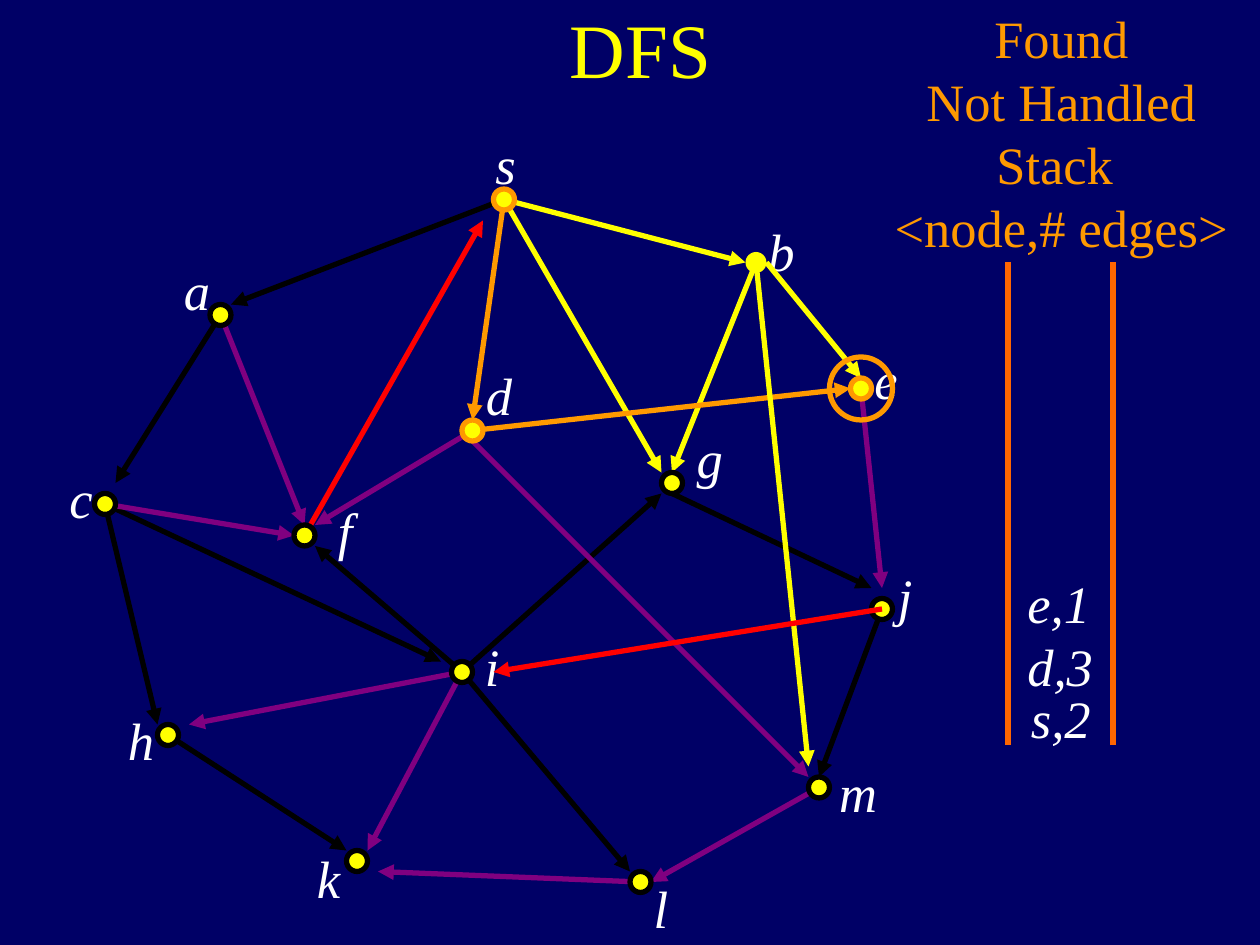
from dataclasses import dataclass

from lxml import etree
from pptx import Presentation
from pptx import util as u
from pptx.dml.color import RGBColor
from pptx.enum import shapes, text
from pptx.oxml.ns import qn

COLORS = {
    "navy": "000066",
    "yellow": "FFFF00",
    "orange": "FF9900",
    "rail": "FF6600",
    "black": "000000",
    "purple": "800080",
    "red": "FF0000",
    "white": "FFFFFF",
}
FONT = "Times New Roman"
STROKE = 3
NODE_SIZE = 12
LABEL_HEIGHT = 43.2


@dataclass(frozen=True)
class Node:
    x: float
    y: float
    label_left: float
    label_top: float
    label_width: float
    outline: str | None = "black"


@dataclass(frozen=True)
class Edge:
    source: str
    tip_x: float
    tip_y: float
    color: str = "black"
    shift_x: float = 0
    shift_y: float = 0


@dataclass(frozen=True)
class Label:
    lines: tuple[str, ...]
    left: float
    top: float
    width: float
    height: float = LABEL_HEIGHT
    size: float = 30
    color: str = "white"
    italic: bool = True
    centered: bool = False
    wrapped: bool = False


NODES = {
    "s": Node(288, 114, 276, 72, 26, "orange"),
    "a": Node(126, 180, 98, 144, 29.5),
    "b": Node(432, 150, 432, 121.5, 29.5, None),
    "c": Node(60, 288, 32.5, 263, 27),
    "d": Node(270, 246, 270.5, 204, 29.5, "orange"),
    "e": Node(492, 222, 492.5, 195, 27, "orange"),
    "f": Node(174, 306, 186, 281, 22),
    "g": Node(384, 276, 391, 240, 29.5),
    "h": Node(96, 420, 66, 401, 29.5),
    "i": Node(264, 384, 270, 358.5, 22),
    "j": Node(504, 348, 506, 319, 22),
    "k": Node(204, 492, 174, 480, 27),
    "l": Node(366, 504, 366.5, 497, 22),
    "m": Node(468, 450, 472.5, 430.5, 36),
}
EDGES = [
    Edge("s", 132, 174),
    Edge("s", 270, 240, "orange"),
    Edge("s", 378, 270, "yellow"),
    Edge("s", 426, 150, "yellow"),
    Edge("b", 384, 270, "yellow"),
    Edge("i", 378, 282),
    Edge("d", 486, 222, "orange"),
    Edge("b", 492, 216, "yellow", shift_x=6),
    Edge("g", 498, 336, shift_y=6),
    Edge("e", 504, 336, "purple"),
    Edge("d", 462, 444, "purple", shift_y=6),
    Edge("d", 180, 300, "purple"),
    Edge("a", 174, 300, "purple"),
    Edge("a", 66, 276),
    Edge("c", 252, 378),
    Edge("i", 210, 486, "purple"),
    Edge("i", 360, 498),
    Edge("i", 108, 414, "purple"),
    Edge("m", 372, 504, "purple"),
    Edge("i", 180, 312),
    Edge("j", 468, 444),
    Edge("l", 216, 498, "purple"),
    Edge("f", 276, 126, "red"),
    Edge("h", 198, 486),
    Edge("c", 90, 414),
    Edge("c", 168, 306, "purple"),
    Edge("b", 462, 438, "yellow"),
]
BACK_EDGE = Edge("j", 282, 384, "red")
TITLE = Label(("DFS",), 60, -18, 612, 90, 44, "yellow", False, True, True)
STACK_HEADING = Label(
    ("Found", "Not Handled", "Stack ", "<node,# edges>"),
    501.5, 0, 210, 151.2, color="orange", italic=False, centered=True,
)
STACK_ENTRIES = [
    Label(("e,1",), 580, 322.5, 51),
    Label(("d,3",), 580, 358.5, 53),
    Label(("s,2",), 582, 388.5, 51),
]


def rgb(name: str) -> RGBColor:
    return RGBColor.from_string(COLORS[name])


def draw_label(page, label: Label) -> None:
    box = page.shapes.add_textbox(
        u.Pt(label.left), u.Pt(label.top), u.Pt(label.width), u.Pt(label.height)
    )
    frame = box.text_frame
    frame.word_wrap = label.wrapped
    if label.wrapped:
        frame.vertical_anchor = text.MSO_ANCHOR.MIDDLE
    else:
        frame.auto_size = text.MSO_AUTO_SIZE.SHAPE_TO_FIT_TEXT
    para = frame.paragraphs[0]
    para.alignment = text.PP_ALIGN.CENTER if label.centered else text.PP_ALIGN.LEFT
    for index, line in enumerate(label.lines):
        if index:
            para.add_line_break()
        span = para.add_run()
        span.text = line
        span.font.name = FONT
        span.font.size = u.Pt(label.size)
        span.font.italic = label.italic
        span.font.color.rgb = rgb(label.color)
    para.font.size = u.Pt(label.size)
    for line_break in para._p.findall(qn("a:br")):
        properties = etree.SubElement(line_break, qn("a:rPr"))
        properties.set("sz", str(label.size * 100))
        etree.SubElement(properties, qn("a:latin")).set("typeface", FONT)


def draw_line(page, start: tuple, end: tuple, color: str, arrow: bool = False) -> None:
    line = page.shapes.add_connector(
        shapes.MSO_CONNECTOR.STRAIGHT, *(u.Pt(value) for value in (*start, *end))
    )
    line.line.color.rgb = rgb(color)
    line.line.width = u.Pt(STROKE)
    if arrow:
        outline = line.line._get_or_add_ln()
        etree.SubElement(outline, qn("a:tailEnd")).set("type", "triangle")
    etree.SubElement(line._element.spPr, qn("a:effectLst"))


def draw_edge(page, edge: Edge) -> None:
    node = NODES[edge.source]
    start = (node.x + edge.shift_x, node.y + edge.shift_y)
    draw_line(page, start, (edge.tip_x, edge.tip_y), edge.color, arrow=True)


def draw_circle(page, node: Node, size: float, fill: str | None) -> None:
    circle = page.shapes.add_shape(
        shapes.MSO_SHAPE.OVAL,
        u.Pt(node.x - size / 2), u.Pt(node.y - size / 2), u.Pt(size), u.Pt(size),
    )
    circle.shadow.inherit = False
    if fill:
        circle.fill.solid()
        circle.fill.fore_color.rgb = rgb(fill)
    else:
        circle.fill.background()
    if node.outline:
        circle.line.color.rgb = rgb(node.outline)
        circle.line.width = u.Pt(STROKE)
    else:
        circle.line.fill.background()


def main() -> None:
    deck = Presentation()
    deck.slide_width, deck.slide_height = u.Pt(720), u.Pt(540)
    page = deck.slides.add_slide(deck.slide_layouts[6])
    page.background.fill.solid()
    page.background.fill.fore_color.rgb = rgb("navy")

    draw_label(page, TITLE)
    for name, node in NODES.items():
        draw_label(page, Label((name,), node.label_left, node.label_top, node.label_width))
    for edge in EDGES:
        draw_edge(page, edge)
    for node in NODES.values():
        draw_circle(page, node, NODE_SIZE, "yellow")
    draw_edge(page, BACK_EDGE)
    draw_circle(page, NODES["e"], 36, None)

    for rail in (576, 636):
        draw_line(page, (rail, 150), (rail, 426), "rail")
    for label in (STACK_HEADING, *STACK_ENTRIES):
        draw_label(page, label)
    deck.save("out.pptx")


if __name__ == "__main__":
    main()
